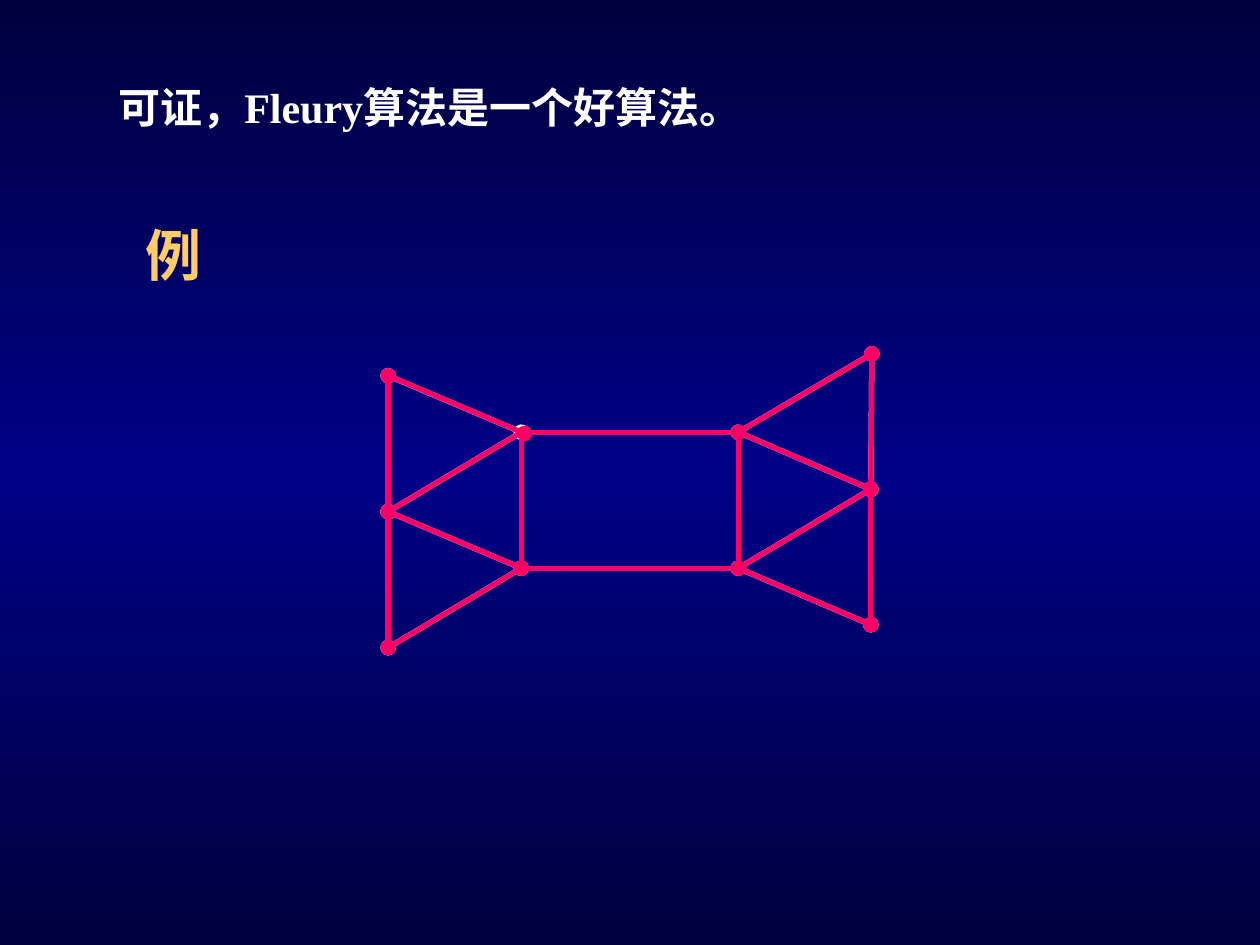
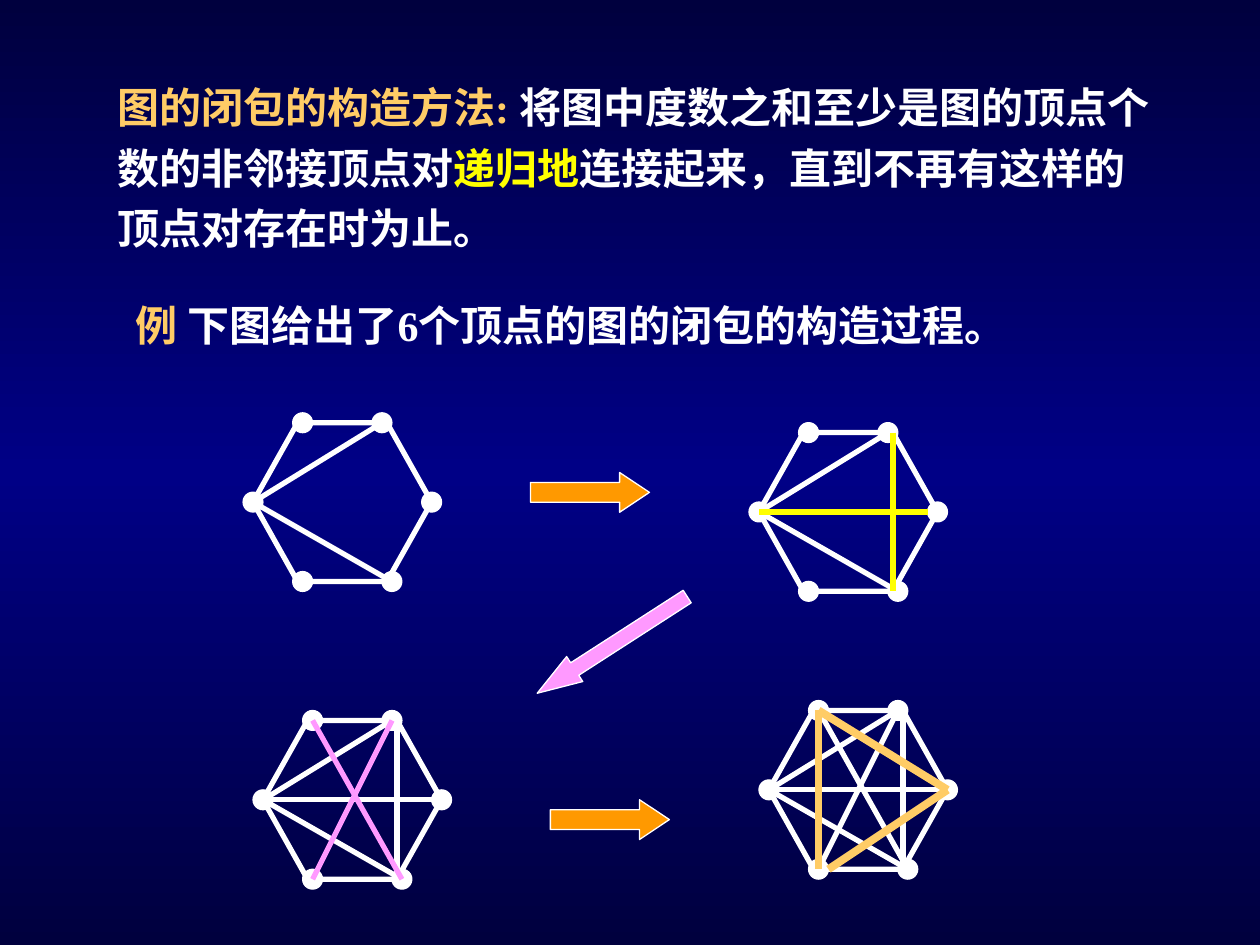
from copy import deepcopy

from pptx import Presentation
from pptx import util as u
from pptx.dml.color import RGBColor
from pptx.enum import lang, shapes
from pptx.oxml import ns, xmlchemy

INK = {
    "white": "FFFFFF", "gold": "FFCC66", "yellow": "FFFF00", "pink": "FF99FF",
    "red": "FF0066", "orange": "FF9900", "night": "00003E", "blue": "000086",
}
FONT = "Times New Roman"

STEP = 5.67
DOTS = {"tl": (5, 0), "tr": (13, 0), "r": (18, 8), "l": (0, 8), "bl": (5, 16), "br": (14, 16)}
SPOTS = DOTS | {"end": (17, 8), "up": (13.5, 0), "down": (13.5, 16), "foot": (6, 16)}
BASE = ["l tr", "l br"]
CROSS = ["l end", "up down"]
STAR = ["tr bl", "tl br"]
LAST = ["tl bl", "foot r", "tl r"]

NODES = {
    "a": (221.8, 214.7), "b": (221.8, 292.4), "c": (221.8, 370.1),
    "d": (297.9, 247), "e": (297.9, 324.7),
    "f": (421.9, 247), "g": (421.9, 324.7),
    "h": (498.2, 202.2), "i": (497.6, 279.6), "j": (497.6, 357),
}
EDGES = ["ji", "gj", "ig", "bc", "eb", "ce", "ih", "fi", "hf", "ab", "da", "bd", "df", "eg", "ed", "fg"]
BOTH = ["ji", "bc", "ih", "ab"]
HEADS = BOTH + ["gj", "eb", "fi", "da"]
NUDGE = {"da": (1.8, 0.7), "df": (-1, 0)}


def tint(name):
    return RGBColor.from_string(INK[name])


def write(para, words, size=24, color="white", bold=True):
    run = para.add_run()
    run.text = words
    font = run.font
    font.name, font.size, font.bold = FONT, u.Pt(size), bold
    font.color.rgb = tint(color)
    font.language_id = lang.MSO_LANGUAGE_ID.SIMPLIFIED_CHINESE


class Deck:
    """Holds the shared style and the slide being built."""

    def __init__(self):
        self.show = Presentation()
        self.show.slide_width, self.show.slide_height = u.Pt(720), u.Pt(540)
        self.paint()

    def paint(self):
        master = self.show.slide_master
        fill = master.background.fill
        fill.gradient()
        fill.gradient_angle = 270
        stops = master.element.find(".//" + ns.qn("a:gsLst"))
        stops.insert(1, deepcopy(stops[0]))
        for stop, place, name in zip(fill.gradient_stops, (0, 0.5, 1), ("night", "blue", "night")):
            stop.position = place
            stop.color.rgb = tint(name)

    def page(self):
        self.slide = self.show.slides.add_slide(self.show.slide_layouts[6])
        self.leave()

    def group(self):
        self.canvas = self.slide.shapes.add_group_shape().shapes

    def leave(self):
        self.canvas = self.slide.shapes

    def text(self, box, *runs, space=None):
        frame = self.canvas.add_textbox(*map(u.Pt, box)).text_frame
        frame.word_wrap = True
        para = frame.paragraphs[0]
        para.line_spacing = space
        for words, style in runs:
            write(para, words, **style)

    def line(self, start, stop, color="white", width=3, head=False, tail=False):
        link = self.canvas.add_connector(
            shapes.MSO_CONNECTOR.STRAIGHT, *map(u.Pt, (*start, *stop)))
        link.line.color.rgb = tint(color)
        link.line.width = u.Pt(width)
        for tag, used in (("headEnd", head), ("tailEnd", tail)):
            if used:
                end = xmlchemy.OxmlElement("a:" + tag)
                end.set("type", "oval")
                link.line._get_or_add_ln().append(end)
        link._element.spPr.append(xmlchemy.OxmlElement("a:effectLst"))

    def shape(self, kind, box, fill=None, width=0.75, turn=0, adjust=()):
        item = self.canvas.add_shape(getattr(shapes.MSO_SHAPE, kind), *map(u.Pt, box))
        item.shadow.inherit = False
        if fill:
            item.fill.solid()
            item.fill.fore_color.rgb = tint(fill)
        else:
            item.fill.background()
        item.line.color.rgb = tint("white")
        item.line.width = u.Pt(width)
        item.rotation = turn
        for spot, value in enumerate(adjust):
            item.adjustments[spot] = value

    def arrow(self, left, top, fill="orange", wide=68, high=22.7, turn=0, head=0.75):
        self.shape("RIGHT_ARROW", (left, top, wide, high), fill, turn=turn, adjust=(0.5, head))

    def graph(self, left, top, *layers):
        def place(name):
            x, y = SPOTS[name]
            return left + x * STEP, top + y * STEP

        self.group()
        self.shape("HEXAGON", (left, top, 18 * STEP, 16 * STEP), width=3, adjust=(0.281, 1.155))
        for name in DOTS:
            x, y = place(name)
            self.shape("OVAL", (x - STEP, y - STEP, 2 * STEP, 2 * STEP), "white")
        for edges, color, width in layers:
            for edge in edges:
                self.line(*map(place, edge.split()), color, width)
        self.leave()

    def tour(self, color, nudge):
        self.group()
        for edge in EDGES:
            right, down = nudge.get(edge, (0, 0))
            ends = [(NODES[n][0] + right, NODES[n][1] + down) for n in edge]
            self.line(*ends, color, head=edge in HEADS, tail=edge in BOTH)
        self.leave()


def fleury(deck):
    deck.page()
    deck.text((76.3, 122.4, 72, 54), ("例", {"size": 32, "color": "gold"}))
    deck.tour("white", {})
    deck.tour("red", NUDGE)
    deck.text((60.5, 43.2, 400, 36), ("可证，Fleury算法是一个好算法。", {}))


def closure(deck):
    deck.page()
    deck.text((59.8, 37.4, 610.6, 111),
              ("图的闭包的构造方法: ", {"color": "gold"}),
              ("将图中度数之和至少是图的顶点个数的非邻接顶点对", {}),
              ("递归地", {"color": "yellow"}),
              ("连接起来，直到不再有这样的顶点对存在时为止。", {}), space=1.2)
    deck.text((70.6, 167.8, 572.4, 36),
              ("例", {"color": "gold"}), (" 下图给出了6个顶点的图的闭包的构造过程。", {}))
    deck.graph(144.6, 241.6, (BASE, "white", 3))
    deck.graph(150.3, 411.7, (BASE + CROSS, "white", 3), (STAR, "pink", 3))
    deck.graph(433.7, 247.2, (BASE, "white", 3), (CROSS, "yellow", 3))
    deck.arrow(303.1, 270)
    deck.arrow(298.8, 360, "pink", 102, 17, 147.2, 1.5)
    deck.arrow(314.5, 457)
    deck.graph(439.4, 406, (BASE + CROSS + STAR, "white", 3), (LAST, "gold", 4.5))


def main():
    deck = Deck()
    fleury(deck)
    closure(deck)
    deck.show.save("out.pptx")


if __name__ == "__main__":
    main()
